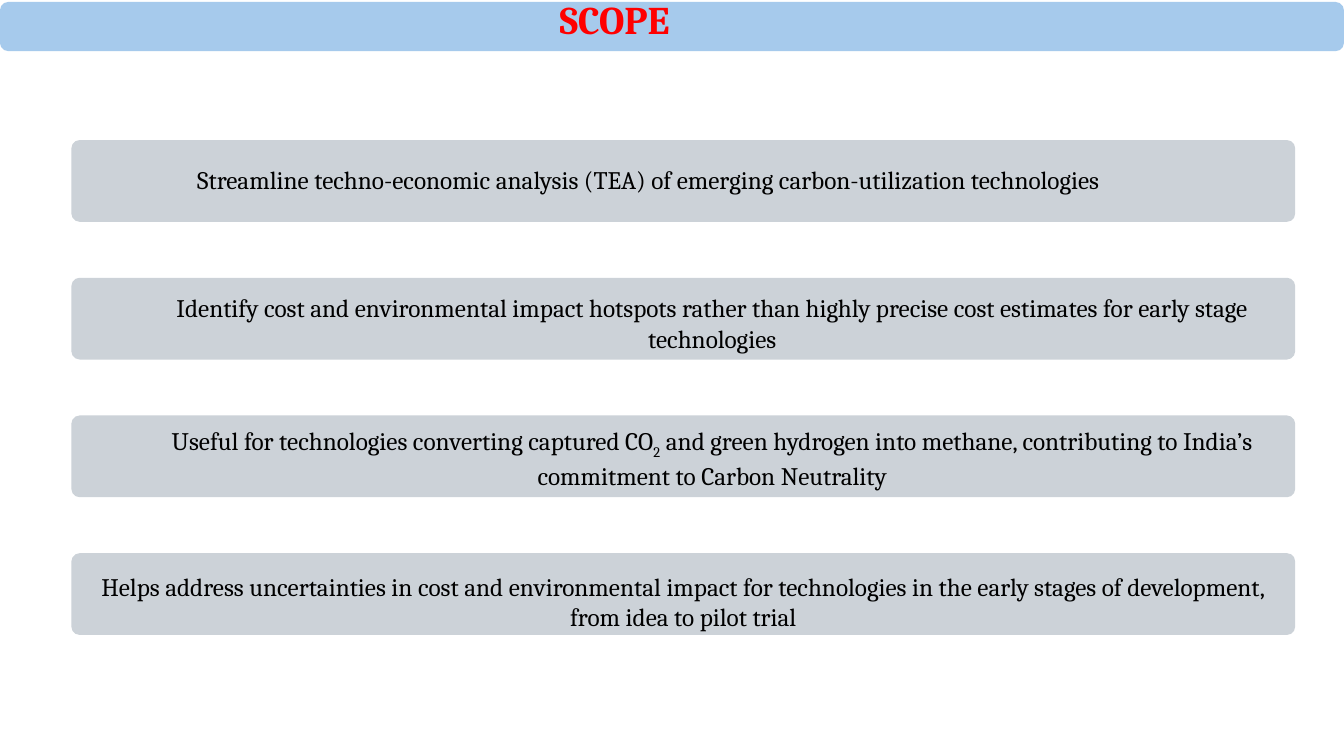
from pptx import Presentation
from pptx import util as u
from pptx.dml import color
from pptx.enum import shapes, text

COLORS = {"banner": "A6CAEC", "bar": "CCD2D8", "title": "FF0000", "body": "000000"}
FONT = "Cambria"
LEFT, CENTER = text.PP_ALIGN.LEFT, text.PP_ALIGN.CENTER

BAR_LEFT, BAR_TOP, BAR_WIDTH, BAR_HEIGHT, BAR_STEP = 1.8, 3.53, 30.84, 2.06, 3.47

# Each statement: text spans (odd ones are subscripts), alignment, text box relative to its bar
STATEMENTS = [
    (["Streamline techno-economic analysis (TEA) of emerging carbon-utilization technologies"],
     LEFT, (2.92, 0.48, 29.82, 1.02)),
    (["Identify cost and environmental impact hotspots rather than highly precise cost "
      "estimates for early stage technologies"],
     CENTER, (0.86, 0.25, 30.58, 1.8)),
    (["Useful for technologies converting captured CO", "2",
      " and green hydrogen into methane, contributing to India’s commitment to Carbon Neutrality"],
     CENTER, (0.86, 0.13, 30.58, 1.8)),
    (["Helps address uncertainties in cost and environmental impact for technologies in the "
      "early stages of development, from idea to pilot trial"],
     CENTER, (0.13, 0.33, 30.58, 1.8)),
]


def style_font(font, size, shade, bold=False):
    """Set typeface, size, colour and weight."""
    font.name, font.size, font.bold = FONT, u.Pt(size), bold
    font.color.rgb = color.RGBColor.from_string(COLORS[shade])


def add_panel(page, left, top, width, height, shade, rounding):
    """Add a borderless rounded rectangle."""
    panel = page.shapes.add_shape(shapes.MSO_SHAPE.ROUNDED_RECTANGLE,
                                  u.Cm(left), u.Cm(top), u.Cm(width), u.Cm(height))
    panel.adjustments[0] = rounding
    panel.shadow.inherit = False
    panel.fill.solid()
    panel.fill.fore_color.rgb = color.RGBColor.from_string(COLORS[shade])
    panel.line.fill.background()
    return panel


def add_header(page, left, top, width, height):
    """Place the title over a full-width banner."""
    banner = add_panel(page, left, top, width, height, "banner", 0.17)
    title = page.shapes.title
    title.element.addprevious(banner.element)
    title.left, title.top = u.Cm(left + 7.85), u.Cm(top - 0.3)
    title.width, title.height = u.Cm(15.27), u.Cm(1.45)
    frame = title.text_frame
    frame.text = "SCOPE"
    frame.vertical_anchor = text.MSO_ANCHOR.TOP
    frame.auto_size = text.MSO_AUTO_SIZE.SHAPE_TO_FIT_TEXT
    para = frame.paragraphs[0]
    para.alignment = CENTER
    style_font(para.runs[0].font, 28, "title", bold=True)


def add_statement(page, left, top, width, height, spans, alignment, inset):
    """Add a bar and the statement laid over it."""
    add_panel(page, left, top, width, height, "bar", 0.1)
    shift_x, shift_y, text_width, text_height = inset
    box = page.shapes.add_textbox(u.Cm(left + shift_x), u.Cm(top + shift_y),
                                  u.Cm(text_width), u.Cm(text_height))
    frame = box.text_frame
    frame.word_wrap = True
    frame.auto_size = text.MSO_AUTO_SIZE.SHAPE_TO_FIT_TEXT
    para = frame.paragraphs[0]
    para.alignment = alignment
    for index, words in enumerate(spans):
        span = para.add_run()
        span.text = words
        style_font(span.font, 18, "body")
        if index % 2:
            span._r.get_or_add_rPr().set("baseline", "-25000")


def main():
    """Build the scope slide."""
    deck = Presentation()
    deck.slide_width, deck.slide_height = u.Cm(33.87), u.Cm(19.05)
    page = deck.slides.add_slide(deck.slide_layouts.get_by_name("Title Only"))
    add_header(page, 0, 0.05, 33.87, 1.24)
    for row, (spans, alignment, inset) in enumerate(STATEMENTS):
        add_statement(page, BAR_LEFT, BAR_TOP + row * BAR_STEP, BAR_WIDTH, BAR_HEIGHT,
                      spans, alignment, inset)
    deck.save("out.pptx")


if __name__ == "__main__":
    main()
